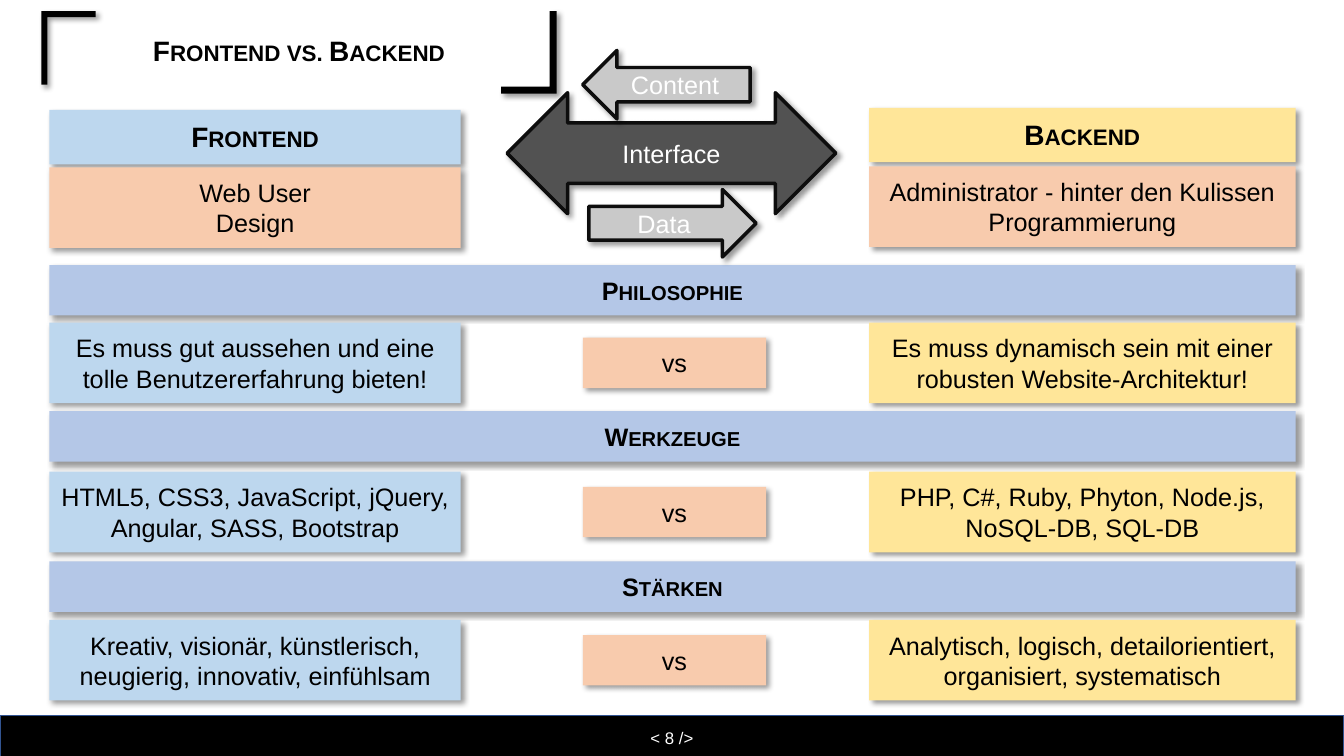
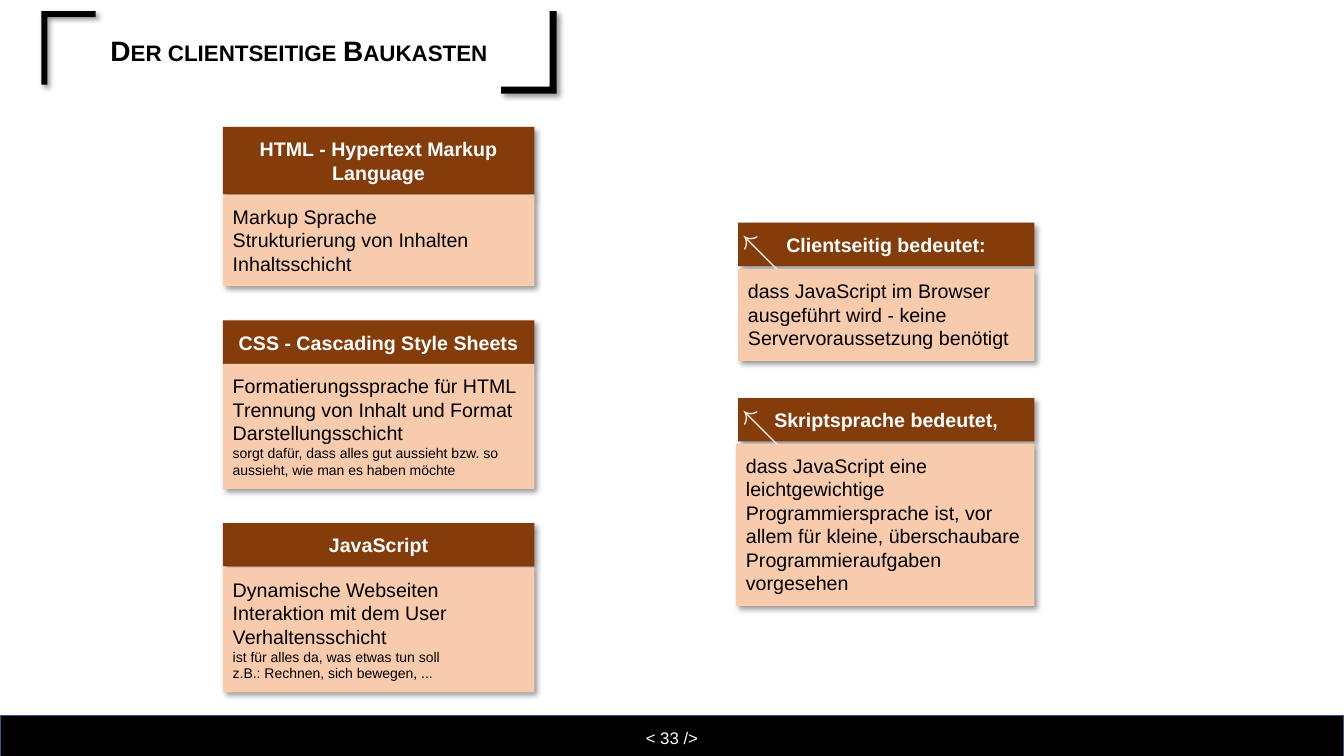
from lxml.etree import SubElement
from pptx import Presentation
from pptx.dml.color import RGBColor
from pptx.enum.shapes import MSO_SHAPE
from pptx.enum.text import MSO_ANCHOR, PP_ALIGN
from pptx.oxml.ns import qn
from pptx.util import Inches, Pt

BLACK, WHITE = "000000", "FFFFFF"
BLUE, SKY, GOLD, PEACH, BROWN = "B4C7E7", "BDD7EE", "FFE699", "F8CBAD", "843C0B"
DARK, GREY, EDGE, CREAM = "525252", "C9C9C9", "0D0D0D", "FBE5D6"


def paint(shape, fill, line=None, width=1, shade=True):
    """Set fill and outline, and a soft shadow to the lower right."""
    shape.fill.solid()
    shape.fill.fore_color.rgb = RGBColor.from_string(fill)
    if line:
        shape.line.color.rgb = RGBColor.from_string(line)
        shape.line.width = Pt(width)
    else:
        shape.line.fill.background()
    shape.shadow.inherit = False
    if shade:
        effect = shape._element.spPr.find(qn("a:effectLst"))
        outer = SubElement(effect, qn("a:outerShdw"), blurRad="50800", dist="38100",
                           dir="2700000", algn="tl", rotWithShape="0")
        color = SubElement(outer, qn("a:srgbClr"), val=BLACK)
        SubElement(color, qn("a:alpha"), val="40000")


def write(shape, text, small="", size=18, color=BLACK, font="Arial", bold=False,
          caps=False, align=PP_ALIGN.CENTER, anchor=MSO_ANCHOR.TOP,
          inset=(0.1, 0.1), space=1.0, track=0):
    """Fill a shape with one paragraph a line; small lines follow at 10 points."""
    frame = shape.text_frame
    frame.word_wrap = True
    frame.vertical_anchor = anchor
    frame.margin_left = frame.margin_right = Inches(inset[0])
    frame.margin_top = frame.margin_bottom = Inches(inset[1])
    lines = [(line, size) for line in text.split("\n")]
    lines += [(line, 10) for line in small.split("\n") if line]
    for i, (line, points) in enumerate(lines):
        para = frame.add_paragraph() if i else frame.paragraphs[0]
        para.alignment = align
        para.line_spacing = space
        run = para.add_run()
        run.text = line
        run.font.name = font
        run.font.size = Pt(points)
        run.font.bold = bold
        run.font.color.rgb = RGBColor.from_string(color)
        props = run._r.get_or_add_rPr()
        if caps:
            props.set("cap", "small")
        if track:
            props.set("spc", str(track))


deck = Presentation()
deck.slide_width, deck.slide_height = Inches(13.33), Inches(7.5)

# Shared frame: corner brackets, title and footer
CORNERS = [
    [(0.41, 0.84), (0.41, 0.11), (0.95, 0.11), (0.95, 0.17), (0.47, 0.17), (0.47, 0.84)],
    [(5.45, 0.11), (5.52, 0.11), (5.52, 0.93), (4.97, 0.93), (4.97, 0.86), (5.45, 0.86)],
]
pages = []
for title, number in [("Frontend vs. Backend", 8), ("Der clientseitige Baukasten", 33)]:
    shapes = deck.slides.add_slide(deck.slide_layouts[6]).shapes
    for corner in CORNERS:
        points = [(Inches(x), Inches(y)) for x, y in corner]
        pen = shapes.build_freeform(*points[0])
        pen.add_line_segments(points[1:])
        paint(pen.convert_to_shape(), BLACK)
    bar = shapes.add_shape(MSO_SHAPE.RECTANGLE, 0, Inches(7.1), deck.slide_width, Inches(0.44))
    paint(bar, BLACK, line="325491", shade=False)
    write(bar, f"< {number} />", size=12, color=WHITE, anchor=MSO_ANCHOR.MIDDLE)
    head = shapes.add_textbox(Inches(0.52), Inches(0.22), Inches(4.89), Inches(0.6))
    write(head, title, size=20, bold=True, caps=True, anchor=MSO_ANCHOR.MIDDLE,
          inset=(0.1, 0.05), space=0.9)
    pages.append(shapes)
versus, toolkit = pages

# Slide 1: two columns compared
LEFT, RIGHT, MID, FULL = (0.49, 4.08), (8.62, 4.23), (5.78, 1.82), (0.49, 12.36)
HEAD = {"size": 20, "bold": True, "caps": True}
BAND = {"bold": True, "caps": True}
cells = [
    (LEFT, 1.09, 0.54, SKY, "Frontend", HEAD),
    (LEFT, 1.66, 0.8, PEACH, "Web User\nDesign", {}),
    (RIGHT, 1.07, 0.54, GOLD, "Backend", HEAD),
    (RIGHT, 1.65, 0.8, PEACH, "Administrator - hinter den Kulissen\nProgrammierung", {}),
]
for name, top, row, front, back in [
    ("Philosophie", 2.63, 3.2,
     "Es muss gut aussehen und eine tolle Benutzererfahrung bieten!",
     "Es muss dynamisch sein mit einer robusten Website-Architektur!"),
    ("Werkzeuge", 4.08, 4.68,
     "HTML5, CSS3, JavaScript, jQuery, Angular, SASS, Bootstrap",
     "PHP, C#, Ruby, Phyton, Node.js, NoSQL-DB, SQL-DB"),
    ("Stärken", 5.57, 6.15,
     "Kreativ, visionär, künstlerisch, neugierig, innovativ, einfühlsam",
     "Analytisch, logisch, detailorientiert, organisiert, systematisch"),
]:
    cells += [
        (FULL, top, 0.5, BLUE, name, BAND),
        (LEFT, row, 0.8, SKY, front, {}),
        (MID, row + 0.15, 0.5, PEACH, "vs", {}),
        (RIGHT, row, 0.8, GOLD, back, {}),
    ]
for (left, width), top, height, fill, text, style in cells:
    cell = versus.add_shape(MSO_SHAPE.RECTANGLE, Inches(left), Inches(top),
                            Inches(width), Inches(height))
    paint(cell, fill)
    write(cell, text, **style)

for kind, place, fill, text in [
    (MSO_SHAPE.LEFT_RIGHT_ARROW, (5.03, 0.92, 3.26, 1.2), DARK, "Interface"),
    (MSO_SHAPE.RIGHT_ARROW, (5.84, 1.88, 1.66, 0.67), GREY, "Data"),
    (MSO_SHAPE.LEFT_ARROW, (5.78, 0.5, 1.66, 0.68), GREY, "Content"),
]:
    arrow = versus.add_shape(kind, *map(Inches, place))
    paint(arrow, fill, line=EDGE, width=2.5)
    write(arrow, text, color=WHITE, anchor=MSO_ANCHOR.MIDDLE, inset=(0.1, 0.05))

# Slide 2: cards with a heading and a body
for head, body, title, text, small in [
    ((2.21, 1.26, 3.09, 0.67), (2.21, 1.93, 3.09, 0.91), "HTML - Hypertext Markup Language",
     "Markup Sprache\nStrukturierung von Inhalten\nInhaltsschicht", ""),
    ((2.21, 3.18, 3.09, 0.43), (2.21, 3.61, 3.09, 1.24), "CSS - Cascading Style Sheets",
     "Formatierungssprache für HTML\nTrennung von Inhalt und Format\nDarstellungsschicht",
     "sorgt dafür, dass alles gut aussieht bzw. so aussieht, wie man es haben möchte"),
    ((2.21, 5.19, 3.09, 0.43), (2.21, 5.63, 3.09, 1.24), "JavaScript",
     "Dynamische Webseiten\nInteraktion mit dem User\nVerhaltensschicht",
     "ist für alles da, was etwas tun soll\nz.B.: Rechnen, sich bewegen, ..."),
    ((7.32, 2.21, 2.94, 0.43), (7.32, 2.67, 2.94, 0.91), "Clientseitig bedeutet:",
     "dass JavaScript im Browser ausgeführt wird - keine Servervoraussetzung benötigt", ""),
    ((7.32, 3.95, 2.94, 0.43), (7.3, 4.4, 2.96, 1.61), "Skriptsprache bedeutet,",
     "dass JavaScript eine leichtgewichtige Programmiersprache ist, vor\n"
     "allem für kleine, überschaubare Programmieraufgaben vorgesehen", ""),
]:
    label = toolkit.add_shape(MSO_SHAPE.RECTANGLE, *map(Inches, head))
    paint(label, BROWN)
    write(label, title, size=14, color=WHITE, bold=True)
    panel = toolkit.add_shape(MSO_SHAPE.RECTANGLE, *map(Inches, body))
    paint(panel, PEACH)
    write(panel, text, small, size=14, align=PP_ALIGN.LEFT)

for top in (2.03, 3.77):
    sign = toolkit.add_textbox(Inches(7.35), Inches(top), Inches(0.35), Inches(0.64))
    write(sign, "↖", size=28, color=CREAM, font="Roboto", align=PP_ALIGN.LEFT,
          anchor=MSO_ANCHOR.MIDDLE, inset=(0, 0), space=Pt(50.6), track=-1870)

deck.save("out.pptx")
